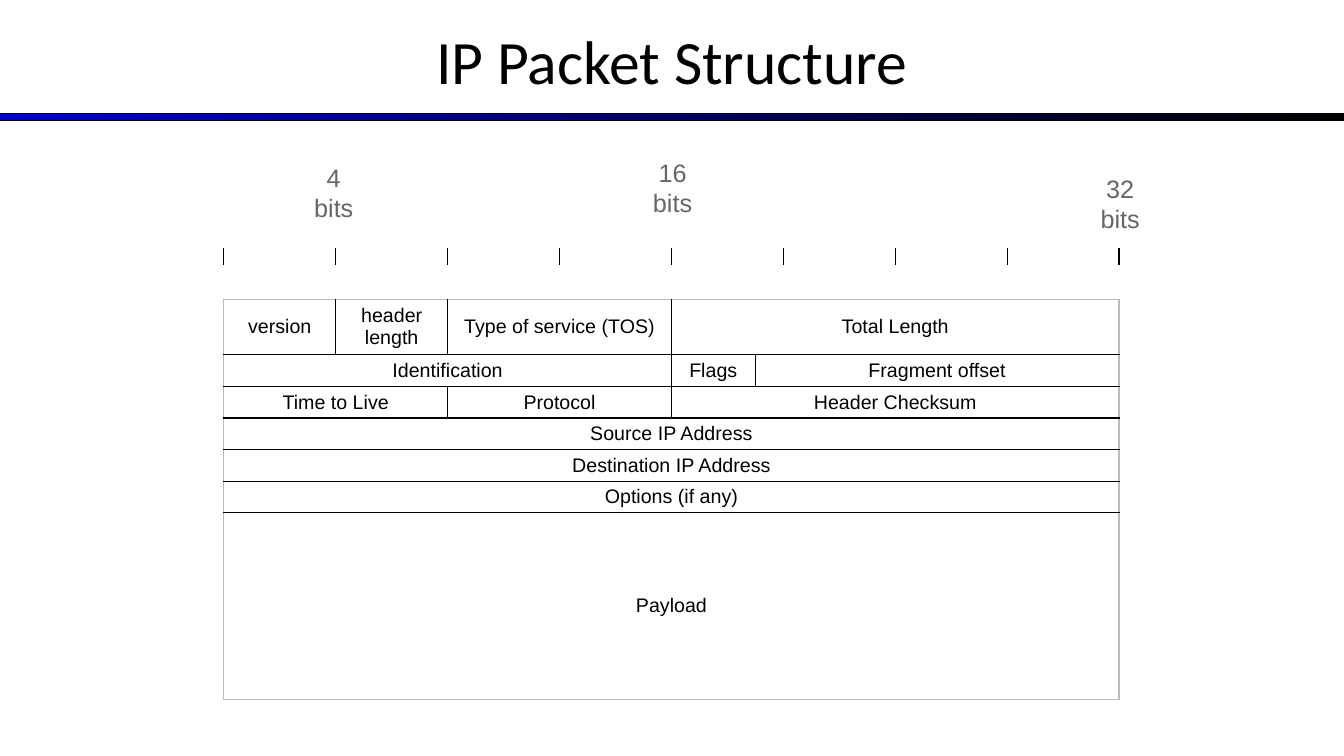
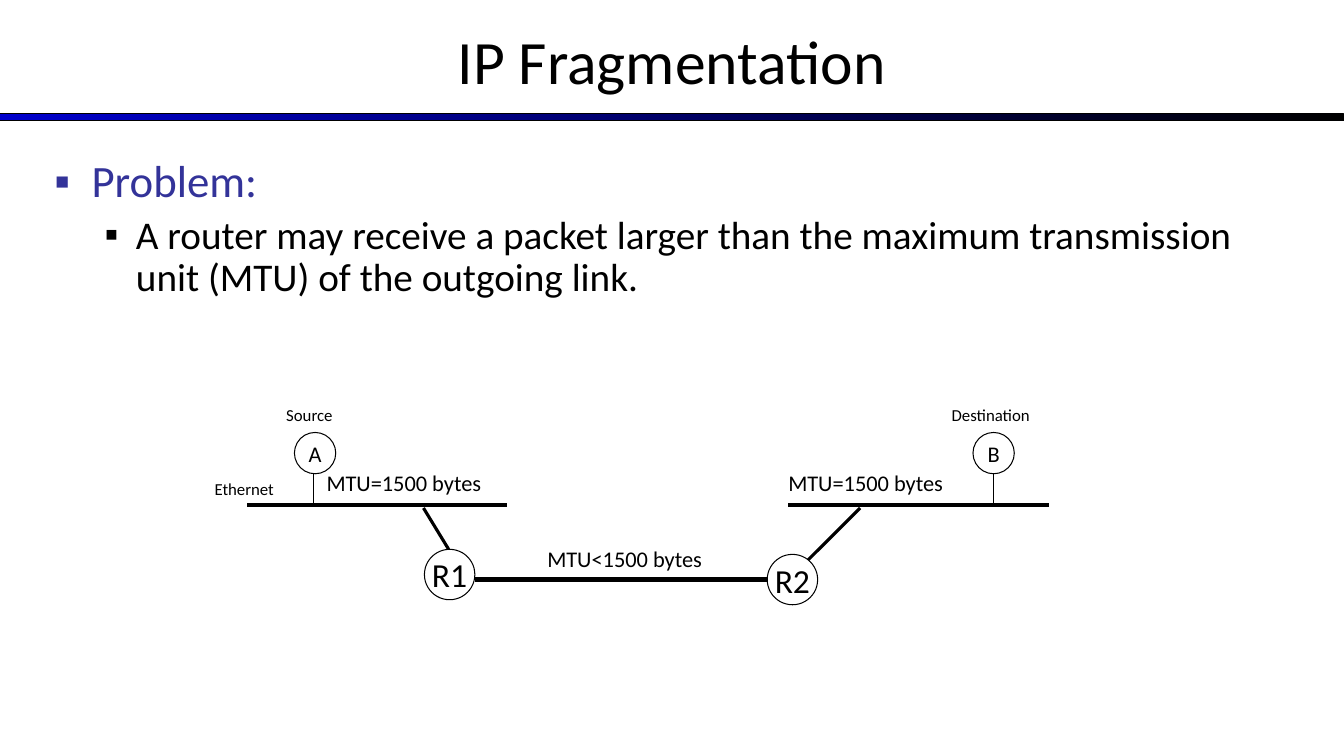
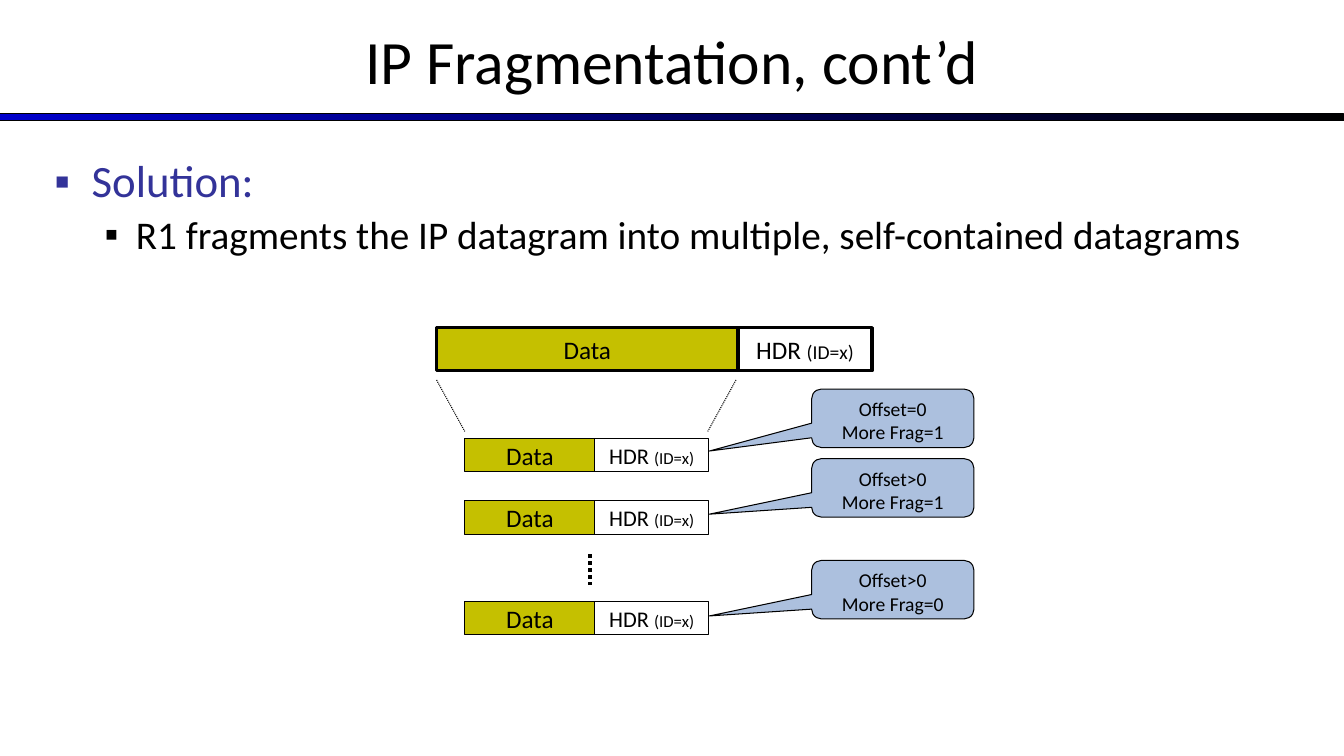
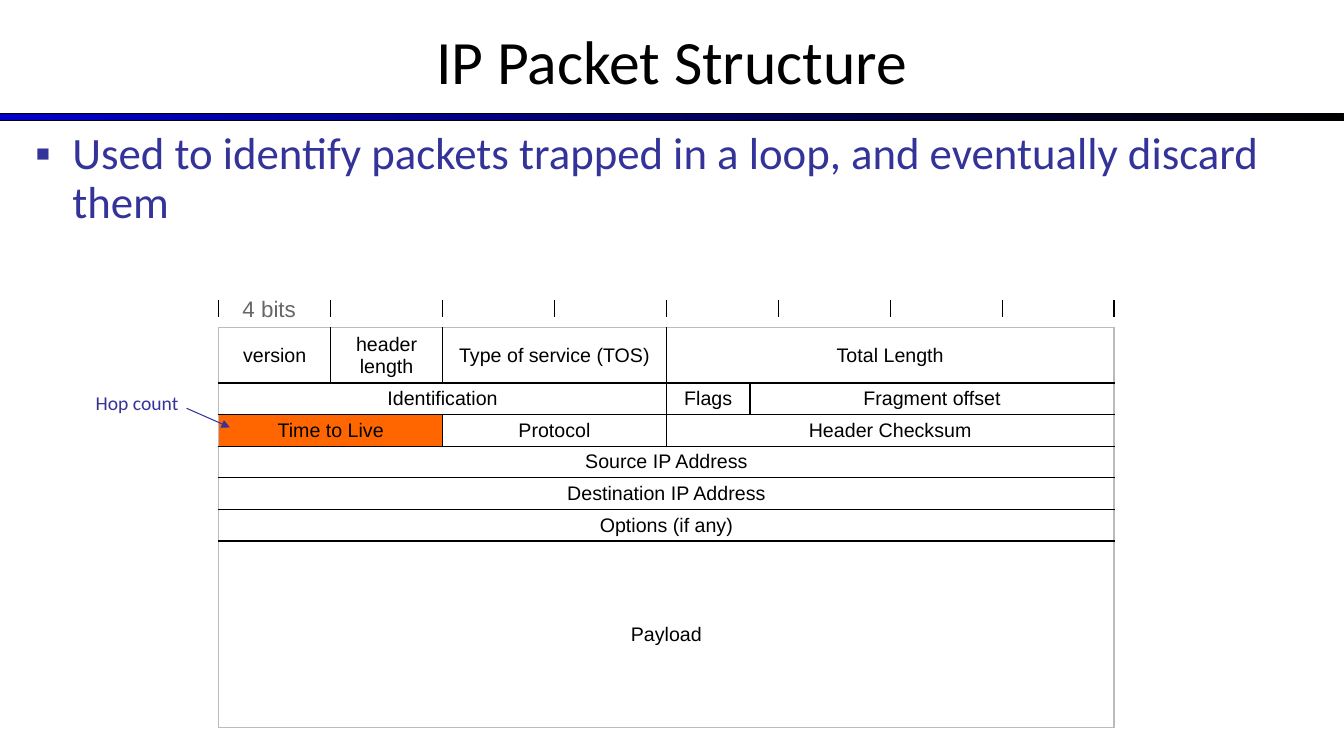
"""Build four slides on IP packet structure and fragmentation."""
from lxml.etree import SubElement
from pptx import Presentation
from pptx.dml.color import RGBColor
from pptx.enum.dml import MSO_LINE
from pptx.enum.shapes import MSO_CONNECTOR, MSO_SHAPE
from pptx.enum.text import MSO_ANCHOR as Anchor, PP_ALIGN as Align
from pptx.oxml.ns import qn
from pptx.util import Inches, Pt

BLACK, WHITE, BLUE, NAVY = "000000", "FFFFFF", "0000CC", "333399"
GRAY, EDGE, OLIVE, SKY, ORANGE = "666666", "BBBBBB", "C5C000", "ACC0DE", "FF6600"
BODY, TABLE = "Calibri", "Arial"

TITLES = ["IP Packet Structure", "IP Fragmentation", "IP Fragmentation, cont’d", "IP Packet Structure"]
PROBLEM = [
    ("Problem:", 0),
    ("A router may receive a packet larger than the maximum transmission unit (MTU) of the outgoing link.", 1),
]
SOLUTION = [
    ("Solution:", 0),
    ("R1 fragments the IP datagram into multiple, self-contained datagrams", 1),
]
LOOPS = [("Used to identify packets trapped in a loop, and eventually discard them", 0)]
BULLET_LEVELS = [(32, NAVY, 0.37, 0.37), (28, BLACK, 0.81, 0.31)]

COLUMN_WIDTHS = [1.11, 1.11, 2.22, 0.83, 3.61]
ROW_HEIGHTS = [0.55, 0.31, 0.31, 0.31, 0.31, 0.31, 1.85]
PACKET_ROWS = [
    [("version", 1), ("header\nlength", 1), ("Type of service (TOS)", 1), ("Total Length", 2)],
    [("Identification", 3), ("Flags", 1), ("Fragment offset", 1)],
    [("Time to Live", 2), ("Protocol", 1), ("Header Checksum", 2)],
    [("Source IP Address", 5)],
    [("Destination IP Address", 5)],
    [("Options (if any)", 5)],
    [("Payload", 5)],
]
BIT_LABELS = [("4 bits", 2.92, 1.56), ("32 bits", 10.72, 1.67), ("16 bits", 6.28, 1.51)]

NETWORK_LINKS = [
    ((2.45, 5.01), (5.03, 5.01), 3),
    ((3.11, 4.7), (3.11, 5.01), 0.75),
    ((4.2, 5.04), (4.45, 5.45), 2.25),
    ((4.71, 5.75), (7.61, 5.75), 3),
    ((8.53, 5.04), (7.82, 5.75), 2.25),
    ((7.82, 5.01), (10.4, 5.01), 3),
    ((9.85, 4.7), (9.85, 5.01), 0.75),
]
NETWORK_NODES = [
    ("A", 2.92, 4.29, 0.41, 16),
    ("B", 9.65, 4.29, 0.41, 16),
    ("R1", 4.21, 5.45, 0.5, 24),
    ("R2", 7.61, 5.5, 0.5, 24),
]
NETWORK_LABELS = [
    ("Ethernet", (2.03, 4.68, 1.08, 0.33), 12),
    ("MTU=1500 bytes", (3.14, 4.54, 2.11, 0.5), 16),
    ("MTU=1500 bytes", (7.72, 4.54, 2.11, 0.5), 16),
    ("MTU<1500 bytes", (5.33, 5.29, 2.11, 0.5), 16),
    ("Source", (2.74, 3.97, 1.06, 0.3), 12),
    ("Destination", (9.34, 3.97, 1.61, 0.3), 12),
]
FRAGMENTS = [
    (4.35, 3.86, ["Offset=0", "More Frag=1"], 0.56),
    (4.97, 4.55, ["Offset>0", "More Frag=1"], 0.45),
    (5.97, 5.56, ["Offset>0", "More Frag=0"], 0.45),
]
DOTTED_LINES = [
    ((4.33, 3.77), (4.61, 4.28), 0.75),
    ((7.3, 3.77), (7.02, 4.28), 0.75),
    ((5.85, 5.5), (5.85, 5.8), 2.5),
]


def color(value):
    """Turn a hex string into a colour."""
    return RGBColor.from_string(value)


def box(*lengths):
    """Turn numbers into inches."""
    return [Inches(length) for length in lengths]


def style_runs(paragraph, size, ink, font):
    """Format every run of a paragraph."""
    for run in paragraph.runs:
        run.font.size = Pt(size)
        run.font.name = font
        run.font.color.rgb = color(ink)


def write(frame, lines, size, ink=BLACK, font=BODY, align=Align.CENTER):
    """Fill a text frame with one paragraph per line."""
    frame.text = "\n".join(lines)
    for paragraph in frame.paragraphs:
        paragraph.alignment = align
        style_runs(paragraph, size, ink, font)


def add_text(slide, lines, place, size, ink=BLACK, font=BODY, align=Align.LEFT, anchor=Anchor.MIDDLE):
    """Add a wrapping text box."""
    frame = slide.shapes.add_textbox(*box(*place)).text_frame
    frame.word_wrap = True
    frame.vertical_anchor = anchor
    write(frame, lines, size, ink, font, align)


def add_shape(slide, kind, place, fill=None, width=0.75):
    """Add an outlined preset shape."""
    shape = slide.shapes.add_shape(kind, *box(*place))
    shape.shadow.inherit = False
    if fill:
        shape.fill.solid()
        shape.fill.fore_color.rgb = color(fill)
    else:
        shape.fill.background()
    shape.line.color.rgb = color(BLACK)
    shape.line.width = Pt(width)
    shape.text_frame.vertical_anchor = Anchor.MIDDLE
    return shape


def add_line(slide, start, end, width, ink=BLACK, dotted=False, arrow=False):
    """Add a straight line."""
    line = slide.shapes.add_connector(MSO_CONNECTOR.STRAIGHT, *box(*start, *end))
    line.line.color.rgb = color(ink)
    line.line.width = Pt(width)
    if dotted:
        line.line.dash_style = MSO_LINE.ROUND_DOT
    properties = line._element.spPr
    if arrow:
        SubElement(properties.find(qn("a:ln")), qn("a:tailEnd"), type="triangle")
    SubElement(properties, qn("a:effectLst"))


def add_bullets(slide, items, place):
    """Add a bulleted body text."""
    frame = slide.shapes.add_textbox(*box(*place)).text_frame
    frame.word_wrap = True
    frame.text = "\n".join(text for text, _ in items)
    for index, (paragraph, (_, level)) in enumerate(zip(frame.paragraphs, items)):
        size, ink, margin, hanging = BULLET_LEVELS[level]
        properties = paragraph._p.get_or_add_pPr()
        properties.set("marL", str(Inches(margin)))
        properties.set("indent", str(-Inches(hanging)))
        bullet_color = SubElement(properties, qn("a:buClr"))
        SubElement(bullet_color, qn("a:srgbClr"), val=ink)
        SubElement(properties, qn("a:buFont"), typeface=TABLE)
        SubElement(properties, qn("a:buChar"), char="▪")
        paragraph.level = level
        paragraph.line_spacing = 0.9
        if index:
            paragraph.space_before = Pt(size * 0.2)
        style_runs(paragraph, size, ink, BODY)


def set_borders(cell, **inks):
    """Draw the L, R, T and B borders of a cell."""
    properties = cell._tc.get_or_add_tcPr()
    for side in "LRTB":
        border = SubElement(properties, qn(f"a:ln{side}"), w=str(Pt(1)))
        if inks.get(side):
            fill = SubElement(border, qn("a:solidFill"))
            SubElement(fill, qn("a:srgbClr"), val=inks[side])
        else:
            SubElement(border, qn("a:noFill"))


def add_grid(slide, left, top, widths, heights):
    """Add a table without style bands."""
    place = box(left, top, sum(widths), sum(heights))
    table = slide.shapes.add_table(len(heights), len(widths), *place).table
    table.first_row = table.horz_banding = False
    for column, width in zip(table.columns, widths):
        column.width = Inches(width)
    for row, height in zip(table.rows, heights):
        row.height = Inches(height)
    return table


def add_packet(slide, left, top, highlight=None):
    """Add the table of header fields."""
    table = add_grid(slide, left, top, COLUMN_WIDTHS, ROW_HEIGHTS)
    last_row, last_column = len(ROW_HEIGHTS) - 1, len(COLUMN_WIDTHS) - 1
    for row, fields in enumerate(PACKET_ROWS):
        first = 0
        for text, span in fields:
            last = first + span - 1
            for column in range(first, last + 1):
                cell = table.cell(row, column)
                set_borders(
                    cell,
                    L=BLACK if first else EDGE,
                    R=BLACK if last < last_column else EDGE,
                    T=BLACK if row else EDGE,
                    B=BLACK if row < last_row else EDGE,
                )
                cell.fill.background()
            cell = table.cell(row, first)
            if span > 1:
                cell.merge(table.cell(row, last))
            if text == highlight:
                cell.fill.solid()
                cell.fill.fore_color.rgb = color(ORANGE)
            cell.margin_left = cell.margin_right = Inches(0.07)
            cell.margin_top = cell.margin_bottom = Inches(0.04)
            cell.vertical_anchor = Anchor.MIDDLE
            write(cell.text_frame, text.split("\n"), 14, font=TABLE)
            first = last + 1


def add_ruler(slide, left, top):
    """Add the row of tick marks, four bits apart."""
    table = add_grid(slide, left, top, [1.11] * 8, [0.17])
    for cell in table.iter_cells():
        set_borders(cell, L=BLACK, R=BLACK)
        cell.fill.background()
        cell.margin_top = cell.margin_bottom = 0
        SubElement(cell.text_frame.paragraphs[0]._p, qn("a:endParaRPr"), sz="400")


def add_datagram(slide, left, top, widths, height, sizes, line_width):
    """Add a data block followed by its header block."""
    data_width, header_width = widths
    header_size, note_size = sizes
    data = add_shape(slide, MSO_SHAPE.RECTANGLE, (left, top, data_width, height), OLIVE, line_width)
    write(data.text_frame, ["Data"], 18)
    header_place = (left + data_width, top, header_width, height)
    header = add_shape(slide, MSO_SHAPE.RECTANGLE, header_place, width=line_width)
    write(header.text_frame, ["HDR "], header_size)
    paragraph = header.text_frame.paragraphs[0]
    paragraph.add_run().text = "(ID=x)"
    style_runs(paragraph, header_size, BLACK, BODY)
    paragraph.runs[1].font.size = Pt(note_size)
    for shape in (data, header):
        shape.text_frame.word_wrap = False


def add_slide(presentation, title):
    """Add a slide with the shared band and title."""
    slide = presentation.slides.add_slide(presentation.slide_layouts[6])
    band = add_shape(slide, MSO_SHAPE.RECTANGLE, (0, 1.13, 13.33, 0.07))
    band.fill.gradient()
    band.fill.gradient_angle = 0
    for stop, ink, position in zip(band.fill.gradient_stops, (BLUE, BLACK), (0, 1)):
        stop.color.rgb = color(ink)
        stop.position = position
    add_text(slide, [title], (0, -0.03, 13.33, 1.25), 44, align=Align.CENTER)
    return slide


def add_bit_label(slide, text, left, top, height, size):
    """Add a gray label above the ruler."""
    add_text(slide, [text], (left, top, 0.78, height), size, GRAY, TABLE, Align.CENTER, Anchor.TOP)


def build_structure(slide):
    """Draw the packet layout."""
    add_packet(slide, 2.22, 2.97)
    add_ruler(slide, 2.22, 2.46)
    for text, left, top in BIT_LABELS:
        add_bit_label(slide, text, left, top, 0.86, 18)


def build_problem(slide):
    """Draw the network with a small link."""
    add_bullets(slide, PROBLEM, (0.44, 1.53, 12.39, 1.72))
    for start, end, width in NETWORK_LINKS:
        add_line(slide, start, end, width)
    for text, place, size in NETWORK_LABELS:
        add_text(slide, [text], place, size)
    for name, left, top, side, size in NETWORK_NODES:
        node = add_shape(slide, MSO_SHAPE.OVAL, (left, top, side, side), WHITE)
        node.text_frame.word_wrap = False
        write(node.text_frame, [name], size)


def build_solution(slide):
    """Draw a datagram and its fragments."""
    add_bullets(slide, SOLUTION, (0.44, 1.53, 12.39, 1.72))
    add_datagram(slide, 4.33, 3.25, (2.99, 1.33), 0.43, (18, 14), 2.25)
    for start, end, width in DOTTED_LINES:
        add_line(slide, start, end, width, dotted=True)
    for top, callout_top, lines, tip in FRAGMENTS:
        add_datagram(slide, 4.61, top, (1.29, 1.13), 0.33, (16, 12), 0.75)
        place = (8.05, callout_top, 1.61, 0.58)
        callout = add_shape(slide, MSO_SHAPE.ROUNDED_RECTANGULAR_CALLOUT, place, SKY)
        callout.adjustments[0] = -1.13
        callout.adjustments[1] = tip
        callout.text_frame.vertical_anchor = Anchor.TOP
        write(callout.text_frame, lines, 14)


def build_hop_count(slide):
    """Draw the packet layout with the hop count marked."""
    add_bullets(slide, LOOPS, (0.25, 1.25, 12.83, 0.64))
    add_packet(slide, 2.17, 3.25, "Time to Live")
    add_ruler(slide, 2.17, 2.98)
    add_bit_label(slide, "4 bits", 2.28, 2.88, 0.37, 16)
    add_text(slide, ["Hop count"], (0.85, 3.74, 1.42, 0.5), 14, NAVY)
    add_line(slide, (1.85, 4.05), (2.28, 4.24), 0.75, NAVY, arrow=True)


def main():
    """Build and save the presentation."""
    presentation = Presentation()
    presentation.slide_width, presentation.slide_height = box(13.33, 7.5)
    builders = [build_structure, build_problem, build_solution, build_hop_count]
    for title, build in zip(TITLES, builders):
        build(add_slide(presentation, title))
    presentation.save("out.pptx")


if __name__ == "__main__":
    main()
